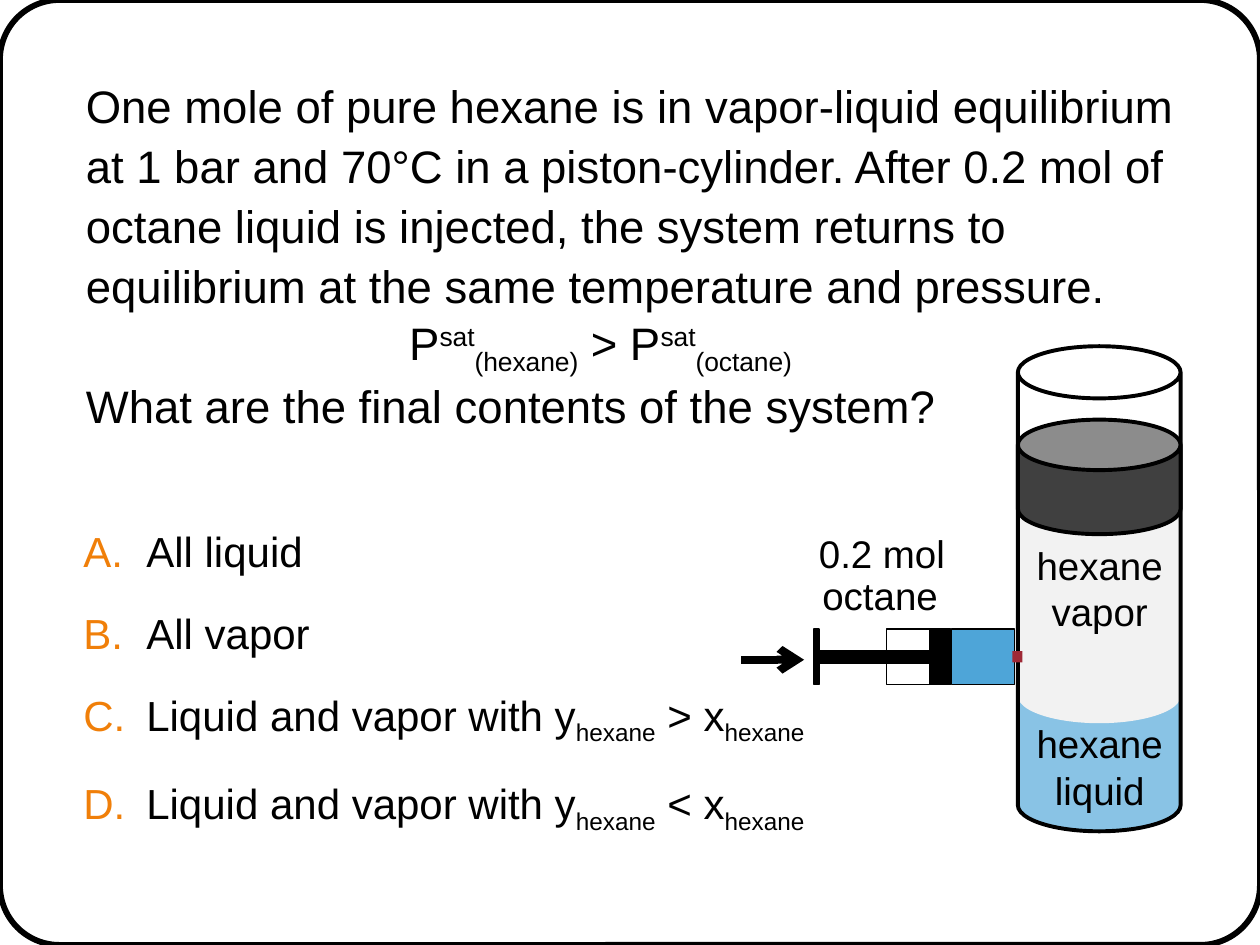
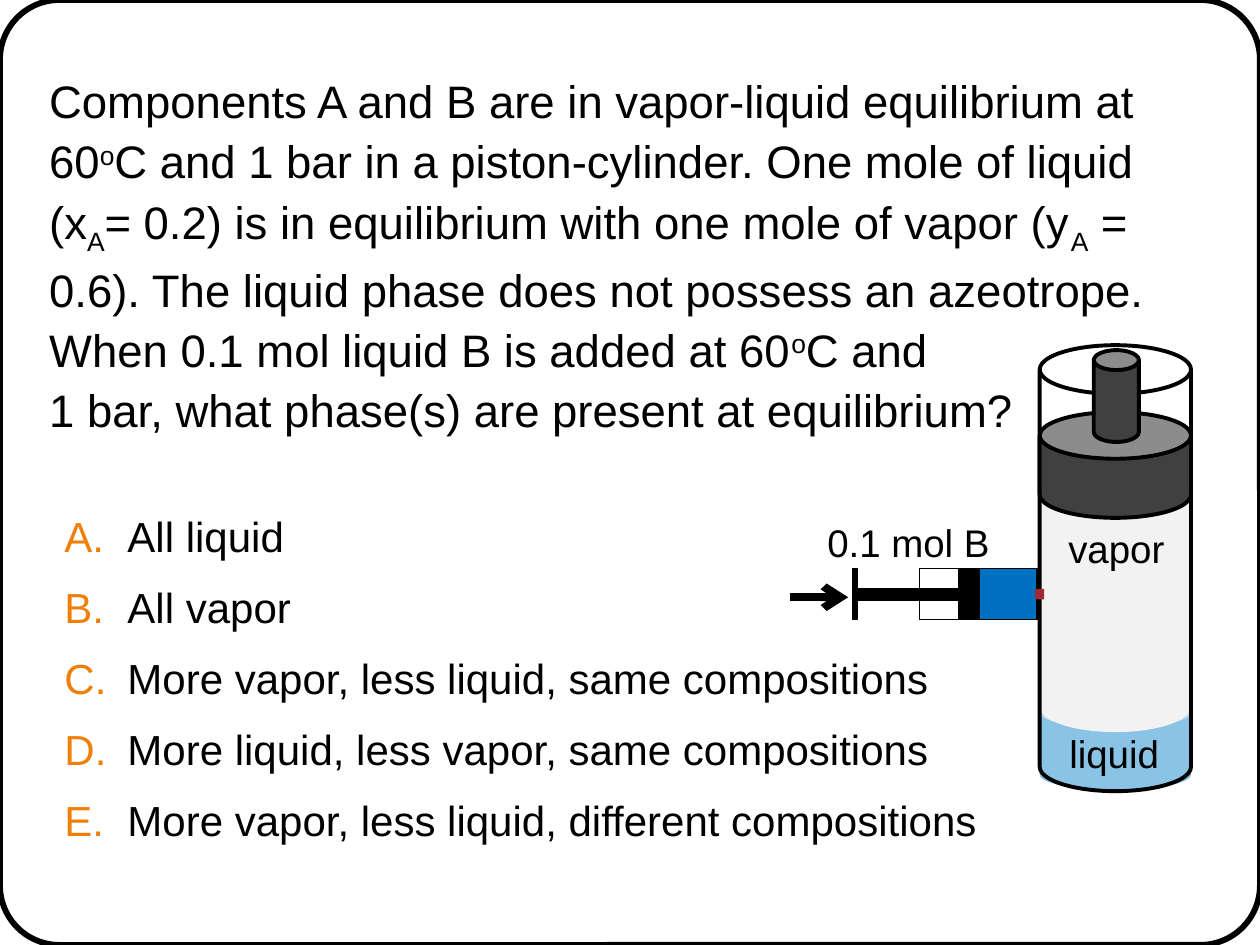
from dataclasses import dataclass

from lxml import etree
from pptx import Presentation, util as u
from pptx.dml.color import RGBColor
from pptx.enum import shapes, text
from pptx.oxml.ns import qn

Cm, Pt = u.Cm, u.Pt


@dataclass(frozen=True)
class Theme:
    font: str = "Arial"
    question: float = 26
    answer: float = 24
    label: float = 22
    ink: str = "000000"
    accent: str = "F07F09"
    paper: str = "FFFFFF"
    liquid: str = "89C3E5"
    vapor: str = "F2F2F2"
    piston: str = "404040"
    nozzle: str = "9F2936"
    octane: str = "4EA5D8"
    component_b: str = "0070C0"
    frame_line: float = 3.35
    vessel_line: float = 2.25
    syringe_line: float = 0.75
    arrow_line: float = 4.5


THEME = Theme()
BASELINES = {"^": "30000", "_": "-25000"}
NO_INSETS = dict(margin_left=0, margin_top=0, margin_right=0, margin_bottom=0,
                 word_wrap=True, auto_size=text.MSO_AUTO_SIZE.NONE,
                 vertical_anchor=text.MSO_ANCHOR.TOP)
QUESTION_SPACING = dict(line_spacing=1.1, space_before=Pt(0), space_after=Pt(0))
# Syringe parts: left edge from the vessel wall, width, height, theme colour
SYRINGE = [(-2.64, 1.30, 1.12, "paper"), (-1.77, 0.41, 1.12, "ink"),
           (-4.01, 2.26, 0.25, "ink"), (-4.10, 0.10, 1.12, "ink")]


def apply(target, formats):
    for name, value in formats.items():
        setattr(target, name, value)


def place(shape, box):
    apply(shape, dict(zip(("left", "top", "width", "height"), map(Cm, box))))


class QuizDeck:
    """Holds the theme and the slide being filled; boxes are in centimetres."""

    def __init__(self, theme):
        self.theme = theme
        self.deck = Presentation()
        apply(self.deck, dict(slide_width=Cm(25.4), slide_height=Cm(19.05)))
        self.layout = self.deck.slide_layouts.get_by_name("Two Content")
        self.slide = None

    def new_slide(self):
        self.slide = self.deck.slides.add_slide(self.layout)
        title = self.slide.shapes.title.element
        title.getparent().remove(title)
        if len(self.deck.slides) == 1:
            self.master_frame()

    def master_frame(self):
        """Puts the rounded border on the slide master, behind everything."""
        frame = self.shape("ROUNDED_RECTANGLE", (0, 0, 25.4, 19.05),
                           line=self.theme.frame_line, bend=0.063).element
        frame.nvSpPr.cNvPr.set("id", "20")
        self.layout.slide_master.shapes.element.insert(2, frame)

    def shape(self, preset, box, fill=None, line=None, bend=None):
        shape = self.slide.shapes.add_shape(
            getattr(shapes.MSO_SHAPE, preset), *map(Cm, box))
        shape.shadow.inherit = False
        if fill:
            shape.fill.solid()
            shape.fill.fore_color.rgb = RGBColor.from_string(fill)
        else:
            shape.fill.background()
        if line:
            shape.line.color.rgb = RGBColor.from_string(self.theme.ink)
            shape.line.width = Pt(line)
        else:
            shape.line.fill.background()
        if bend:
            shape.adjustments[0] = bend
        return shape

    def add_runs(self, paragraph, content, size):
        """Parts are split by |; ^ raises a part, _ lowers it, a newline breaks."""
        for part in content.split("|"):
            if part == "\n":
                paragraph.add_line_break()
                etree.SubElement(paragraph._p[-1], qn("a:rPr"), sz=str(size * 100))
                continue
            run = paragraph.add_run()
            run.text = part[1:] if part[0] in BASELINES else part
            apply(run.font, dict(name=self.theme.font, size=Pt(size)))
            run.font.color.rgb = RGBColor.from_string(self.theme.ink)
            if part[0] in BASELINES:
                run._r.get_or_add_rPr().set("baseline", BASELINES[part[0]])

    def body(self, index, box, lines, size, spacing, lettered=False):
        holder = self.slide.placeholders[index]
        place(holder, box)
        frame = holder.text_frame
        apply(frame, NO_INSETS)
        for number, line in enumerate(lines):
            paragraph = frame.add_paragraph() if number else frame.paragraphs[0]
            self.bullet(paragraph, lettered)
            apply(paragraph, spacing)
            self.add_runs(paragraph, line, size)
        return frame

    def bullet(self, paragraph, lettered):
        props = paragraph._p.get_or_add_pPr()
        hang = Cm(1.27) if lettered else 0
        props.set("marL", str(hang))
        props.set("indent", str(-hang))
        if lettered:
            color = etree.SubElement(props, qn("a:buClr"))
            etree.SubElement(color, qn("a:srgbClr"), val=self.theme.accent)
            etree.SubElement(props, qn("a:buFont"), typeface=self.theme.font)
            etree.SubElement(props, qn("a:buAutoNum"), type="alphaUcPeriod")
        else:
            etree.SubElement(props, qn("a:buNone"))

    def question(self, box, *lines):
        return self.body(1, box, lines, self.theme.question, QUESTION_SPACING)

    def answers(self, box, lines, line_spacing, gap):
        spacing = dict(line_spacing=line_spacing, space_before=Pt(0),
                       space_after=Pt(gap))
        self.body(2, box, lines, self.theme.answer, spacing, lettered=True)

    def label(self, box, *lines, size=None, align=text.PP_ALIGN.LEFT):
        frame = self.slide.shapes.add_textbox(*map(Cm, box)).text_frame
        apply(frame, dict(word_wrap=False,
                          auto_size=text.MSO_AUTO_SIZE.SHAPE_TO_FIT_TEXT))
        for number, line in enumerate(lines):
            paragraph = frame.add_paragraph() if number else frame.paragraphs[0]
            paragraph.alignment = align
            self.add_runs(paragraph, line, size or self.theme.label)

    def phase_label(self, box, *lines):
        self.label(box, *lines, align=text.PP_ALIGN.CENTER)

    def vessel(self, left, width, liquid, vapor, wall, piston):
        """Each part is a (top, height) pair."""
        theme = self.theme
        for (top, height), fill, line, bend in (
                (liquid, theme.liquid, None, 0.334),
                (vapor, theme.vapor, None, 0.334),
                (wall, None, theme.vessel_line, 0.321),
                (piston, theme.piston, theme.vessel_line, 0.441)):
            self.shape("CAN", (left, top, width, height), fill, line, bend)

    def piston_rod(self, box):
        self.shape("CAN", box, self.theme.piston, self.theme.vessel_line, 0.441)

    def syringe(self, wall, axis, scale, content, arrow_start):
        theme = self.theme

        def part(offset, width, height, fill, line=theme.syringe_line):
            self.shape("RECTANGLE",
                       (wall + offset * scale, axis - height * scale / 2,
                        width * scale, height * scale), fill, line)

        part(-1.33, 1.27, 1.12, content)
        for offset, width, height, color in SYRINGE:
            part(offset, width, height, getattr(theme, color))
        part(-0.1, 0.2, 0.23, theme.nozzle, None)
        self.arrow(arrow_start, axis + 0.06, 1.27 * scale)

    def arrow(self, left, y, length):
        arrow = self.slide.shapes.add_connector(
            shapes.MSO_CONNECTOR.STRAIGHT, *map(Cm, (left, y, left + length, y)))
        arrow.line.color.rgb = RGBColor.from_string(self.theme.ink)
        arrow.line.width = Pt(self.theme.arrow_line)
        props = arrow.element.spPr
        etree.SubElement(props.find(qn("a:ln")), qn("a:tailEnd"), type="arrow")
        etree.SubElement(props, qn("a:effectLst"))


def hexane_slide(quiz):
    quiz.new_slide()
    question = quiz.question(
        (1.73, 1.47, 22.33, 8.76),
        "One mole of pure hexane is in vapor-liquid equilibrium at 1 bar and 70°C "
        "in a piston-cylinder. After 0.2 mol of octane liquid is injected, the "
        "system returns to equilibrium at the same temperature and pressure.",
        "What are the final contents of the system?")
    question.paragraphs[1].space_before = Pt(34)  # room for the pressure relation
    mixture = "Liquid and vapor with y|_hexane| {} x|_hexane"
    quiz.answers((1.68, 10.59, 18.59, 7.29),
                 ["All liquid", "All vapor", mixture.format(">"), mixture.format("<")],
                 line_spacing=1.0, gap=18)
    quiz.label((8, 6.22, 9.14, 1.37),
               "P|^sat|_(hexane)| > P|^sat|_(octane)", size=quiz.theme.question)
    quiz.vessel(20.52, 3.28, liquid=(13.41, 3.33), vapor=(9.09, 5.49),
                wall=(6.98, 9.78), piston=(8.46, 2.31))
    quiz.phase_label((20.62, 10.8, 3.1, 2.13), "hexane", "vapor")
    quiz.phase_label((20.62, 14.4, 3.1, 2.13), "hexane", "liquid")
    quiz.syringe(20.51, 13.24, 1, quiz.theme.octane, arrow_start=14.94)
    quiz.label((16.26, 10.57, 3.1, 1.19), "0.2 mol")
    quiz.label((16.33, 11.4, 2.87, 1.19), "octane")


def two_component_slide(quiz):
    quiz.new_slide()
    quiz.question(
        (0.99, 1.37, 23.5, 8),
        "Components A and B are in vapor-liquid equilibrium at 60|^o|C and 1 bar in "
        "a piston-cylinder. One mole of liquid (x|_A|= 0.2) is in equilibrium with "
        "one mole of vapor (y|_A| = 0.6). The liquid phase does not possess an "
        "azeotrope. When 0.1 mol liquid B is added at 60|^o|C and |\n|"
        "1 bar, what phase(s) are present at equilibrium?")
    quiz.answers((1.3, 10.08, 19.38, 8.84),
                 ["All liquid", "All vapor",
                  "More vapor, less liquid, same compositions",
                  "More liquid, less vapor, same compositions",
                  "More vapor, less liquid, different compositions"],
                 line_spacing=1.2, gap=6)
    quiz.vessel(20.96, 3.05, liquid=(14.05, 1.88), vapor=(9.02, 5.74),
                wall=(6.96, 8.99), piston=(8.31, 2.13))
    quiz.phase_label((21.26, 10.46, 2.49, 1.19), "vapor")
    quiz.phase_label((21.29, 14.6, 2.34, 1.19), "liquid")
    quiz.syringe(20.96, 11.98, 0.92, quiz.theme.component_b, arrow_start=15.93)
    quiz.label((16.43, 10.34, 3.84, 1.19), "0.1 mol B")
    quiz.piston_rod((22.05, 7.06, 0.91, 1.85))


def main():
    quiz = QuizDeck(THEME)
    hexane_slide(quiz)
    two_component_slide(quiz)
    quiz.deck.save("out.pptx")


if __name__ == "__main__":
    main()
